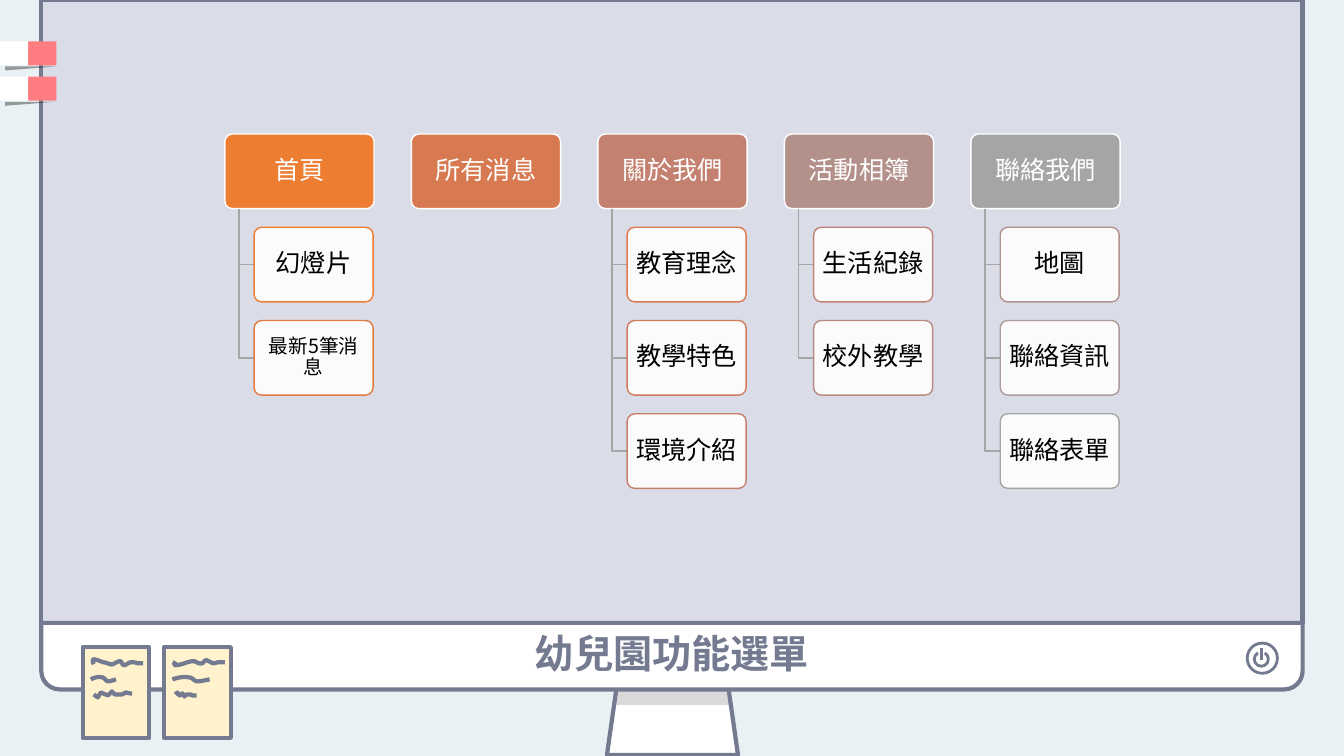
from lxml.etree import SubElement
from pptx import Presentation
from pptx.dml.color import RGBColor
from pptx.enum.shapes import MSO_CONNECTOR, MSO_SHAPE as SHAPE
from pptx.enum.text import MSO_ANCHOR, MSO_AUTO_SIZE, PP_ALIGN
from pptx.oxml.ns import qn
from pptx.util import Inches, Pt

BACKGROUND = RGBColor(0xE9, 0xF1, 0xF4)
SLATE = RGBColor(0x74, 0x7A, 0x90)
SCREEN = RGBColor(0xDA, 0xDC, 0xE8)
WHITE = RGBColor(0xFF, 0xFF, 0xFF)
BLACK = RGBColor(0, 0, 0)
SILVER = RGBColor(0xD9, 0xD9, 0xD9)
PINK = RGBColor(0xFF, 0x7C, 0x80)
CREAM = RGBColor(0xFF, 0xF2, 0xCC)
GREY = RGBColor(0xA5, 0xA5, 0xA5)
ORANGE = RGBColor(0xED, 0x7D, 0x31)
RUST = RGBColor(0xD8, 0x7A, 0x51)
ROSE = RGBColor(0xC4, 0x81, 0x70)
MAUVE = RGBColor(0xB4, 0x90, 0x8B)
AMBER = RGBColor(0xE3, 0x7A, 0x40)
COPPER = RGBColor(0xDA, 0x7A, 0x4E)
TERRACOTTA = RGBColor(0xD1, 0x7B, 0x5C)
CLAY = RGBColor(0xC8, 0x7F, 0x69)
BLUSH = RGBColor(0xC0, 0x83, 0x76)
DUSK = RGBColor(0xB9, 0x8A, 0x82)
TAUPE = RGBColor(0xB2, 0x92, 0x8E)
ASH = RGBColor(0xAB, 0x9B, 0x9A)

FONT_SC = "Noto Sans CJK SC"
FONT_KR = "Noto Sans CJK KR"

MENU = [
    ("首頁", ORANGE, FONT_KR, [("幻燈片", ORANGE, 18), ("最新5筆消息", AMBER, 14)]),
    ("所有消息", RUST, FONT_SC, []),
    ("關於我們", ROSE, FONT_SC,
     [("教育理念", COPPER, 18), ("教學特色", TERRACOTTA, 18), ("環境介紹", CLAY, 18)]),
    ("活動相簿", MAUVE, FONT_SC, [("生活紀錄", BLUSH, 18), ("校外教學", DUSK, 18)]),
    ("聯絡我們", GREY, FONT_KR,
     [("地圖", TAUPE, 18), ("聯絡資訊", ASH, 18), ("聯絡表單", GREY, 18)]),
]

LEFT_NOTE = (
    [(.11, .17), (.1, .15), (.09, .13), (.11, .12), (.12, .12), (.18, .14), (.2, .15),
     (.23, .15), (.26, .17), (.28, .17), (.29, .18), (.28, .17), (.3, .17), (.32, .16),
     (.35, .14), (.37, .14), (.39, .14), (.39, .18), (.41, .18), (.43, .18), (.46, .15),
     (.48, .15), (.5, .15), (.52, .15), (.54, .16), (.56, .16), (.58, .16), (.6, .16)],
    [(.08, .32), (.12, .3), (.16, .29), (.19, .3), (.22, .3), (.22, .33), (.25, .34),
     (.27, .34), (.3, .33), (.33, .32)],
    [(.11, .47), (.15, .5), (.18, .45), (.25, .48), (.29, .44), (.32, .47), (.39, .47),
     (.43, .45), (.47, .46), (.49, .46)],
)
RIGHT_NOTE = (
    [(.11, .14), (.1, .16), (.09, .17), (.11, .18), (.12, .18), (.18, .17), (.2, .16),
     (.23, .15), (.26, .14), (.28, .14), (.29, .14), (.29, .14), (.3, .14), (.32, .15),
     (.35, .17), (.37, .16), (.39, .16), (.39, .14), (.41, .13), (.43, .13), (.46, .15),
     (.48, .16), (.51, .16), (.52, .15), (.54, .15), (.56, .15), (.58, .15), (.6, .15)],
    [(.08, .32), (.14, .3), (.2, .29), (.24, .3), (.28, .3), (.29, .33), (.32, .34),
     (.36, .34), (.4, .33), (.45, .32)],
    [(.11, .47), (.13, .45), (.15, .48), (.18, .46), (.2, .49), (.22, .47), (.26, .47),
     (.28, .48), (.3, .48), (.32, .48)],
)


def paint(shape, fill=None, line=None, width=3, opacity=100):
    """Set the fill, outline and opacity of a shape."""
    shape.shadow.inherit = False
    if fill is None:
        shape.fill.background()
    else:
        shape.fill.solid()
        shape.fill.fore_color.rgb = fill
        if opacity < 100:
            color = shape._element.spPr.find(qn("a:solidFill"))[0]
            SubElement(color, qn("a:alpha"), val=str(opacity * 1000))
    if line is None:
        shape.line.fill.background()
    else:
        shape.line.color.rgb = line
        shape.line.width = Pt(width)
    return shape


def add_block(slide, kind, box, *style, **options):
    """Add a painted preset shape in a box given in inches."""
    shape = slide.shapes.add_shape(kind, *map(Inches, box))
    return paint(shape, *style, **options)


def add_outline(slide, points, *style, close=False, **options):
    """Add a painted polyline through points given in inches."""
    start, *rest = [(Inches(x), Inches(y)) for x, y in points]
    builder = slide.shapes.build_freeform(*start)
    builder.add_line_segments(rest, close=close)
    return paint(builder.convert_to_shape(), *style, **options)


def write(shape, text, size, color, font_name, bold=False):
    """Write one centred paragraph in a shape."""
    frame = shape.text_frame
    frame.word_wrap = True
    frame.auto_size = MSO_AUTO_SIZE.NONE
    frame.vertical_anchor = MSO_ANCHOR.MIDDLE
    frame.margin_left = frame.margin_right = Inches(.06)
    frame.margin_top = frame.margin_bottom = Inches(.05)
    paragraph = frame.paragraphs[0]
    paragraph.text = text
    paragraph.alignment = PP_ALIGN.CENTER
    paragraph.line_spacing = .9
    font = paragraph.font
    font.size, font.bold, font.name = Pt(size), bold, font_name
    font.color.rgb = color
    SubElement(font._element, qn("a:ea"), typeface=font_name)


def smooth(controls, steps=6):
    """Return points along a chain of cubic curves."""
    points = [controls[0]]
    for index in range(0, len(controls) - 1, 3):
        curve = controls[index:index + 4]
        for step in range(1, steps + 1):
            t = step / steps
            weights = ((1 - t) ** 3, 3 * t * (1 - t) ** 2, 3 * t * t * (1 - t), t ** 3)
            points.append(tuple(sum(w * point[axis] for w, point in zip(weights, curve))
                                for axis in (0, 1)))
    return points


def add_monitor(slide, left, top, width, screen_height, bar_height):
    """Draw the monitor with its stand, screen and titled bar."""
    bar_top = top + screen_height
    stand = add_block(slide, SHAPE.TRAPEZOID, (left + 5.61, bar_top + .4, 1.3, .91),
                      WHITE, SLATE)
    stand.adjustments[0] = .143
    stand.fill.gradient()
    stand.fill.gradient_angle = 90
    for stop, position, color in zip(stand.fill.gradient_stops, (.54, .55), (WHITE, SILVER)):
        stop.position = position
        stop.color.rgb = color
    add_block(slide, SHAPE.RECTANGLE, (left, top, width, screen_height), SCREEN, SLATE)
    bar_box = (left, bar_top, width, bar_height)
    bar = add_block(slide, SHAPE.ROUND_2_SAME_RECTANGLE, bar_box, WHITE, SLATE)
    bar.adjustments[0], bar.adjustments[1] = 0, .276
    title = slide.shapes.title
    title.left, title.top, title.width, title.height = map(Inches, bar_box)
    write(title, "幼兒園功能選單", 28, SLATE, FONT_SC, bold=True)
    bar._element.addnext(title._element)


def add_power_button(slide, left, top, size):
    """Draw the round power button."""
    add_block(slide, SHAPE.OVAL, (left, top, size, size), WHITE, SLATE, 2)
    arc = add_block(slide, SHAPE.ARC, (left + .07, top + .09, .14, .14), None, SLATE, 2)
    arc.adjustments[0], arc.adjustments[1] = 179.588, 145.299
    middle = Inches(left + .14)
    tick = slide.shapes.add_connector(MSO_CONNECTOR.STRAIGHT, middle, Inches(top + .05),
                                      middle, Inches(top + .17))
    tick.line.color.rgb = SLATE
    tick.line.width = Pt(2)
    SubElement(tick._element.spPr, qn("a:effectLst"))


def add_tab(slide, left, top, width, height):
    """Draw a two-coloured marker tab with its shadow."""
    half = width / 2
    add_block(slide, SHAPE.RECTANGLE, (left + half, top, half, height), PINK)
    add_block(slide, SHAPE.RECTANGLE, (left, top, half, height), WHITE)
    x, y = left + .05, top + height + .01
    add_outline(slide, [(x, y), (x + .5, y), (x, y + .04)], BLACK, close=True, opacity=37)


def add_note(slide, left, top, width, height, strokes):
    """Draw a sticky note with three scribbled lines."""
    add_block(slide, SHAPE.RECTANGLE, (left, top, width, height), CREAM, SLATE)
    wave, ripple, zigzag = strokes
    for points in (smooth(wave), smooth(ripple), zigzag):
        add_outline(slide, [(left + x, top + y) for x, y in points], None, SLATE)


def add_node(slide, box, text, size, color, font_name, *style, **options):
    """Add a rounded menu box with its label."""
    node = add_block(slide, SHAPE.ROUNDED_RECTANGLE, box, *style, **options)
    node.adjustments[0] = .1
    write(node, text, size, color, font_name)


def add_menu(slide, left, top, width, height):
    """Draw the menu columns with their entries hung below."""
    for column, (heading, fill, font_name, entries) in enumerate(MENU):
        x = left + column * 1.85
        add_node(slide, (x, top, width, height), heading, 18, WHITE, FONT_SC, fill, WHITE, 1)
        stem, indent = x + .14, x + .29
        for row, (label, border, size) in enumerate(entries, 1):
            y = top + row * .925
            middle = y + height / 2
            add_outline(slide, [(stem, top + height), (stem, middle), (indent, middle)],
                        None, GREY, 1)
            add_node(slide, (indent, y, width - .3, height), label, size, BLACK, font_name,
                     WHITE, border, 1, opacity=90)


def main():
    """Build the slide and save it."""
    presentation = Presentation()
    presentation.slide_width, presentation.slide_height = Inches(13.33), Inches(7.5)
    slide = presentation.slides.add_slide(presentation.slide_layouts[5])
    slide.background.fill.solid()
    slide.background.fill.fore_color.rgb = BACKGROUND
    add_monitor(slide, .41, 0, 12.51, 6.18, .66)
    add_power_button(slide, 12.37, 6.38, .3)
    for top in (.41, .76):
        add_tab(slide, 0, top, .56, .24)
    for left, strokes in ((.82, LEFT_NOTE), (1.63, RIGHT_NOTE)):
        add_note(slide, left, 6.42, .66, .9, strokes)
    add_menu(slide, 2.23, 1.33, 1.48, .74)
    presentation.save("out.pptx")


if __name__ == "__main__":
    main()
